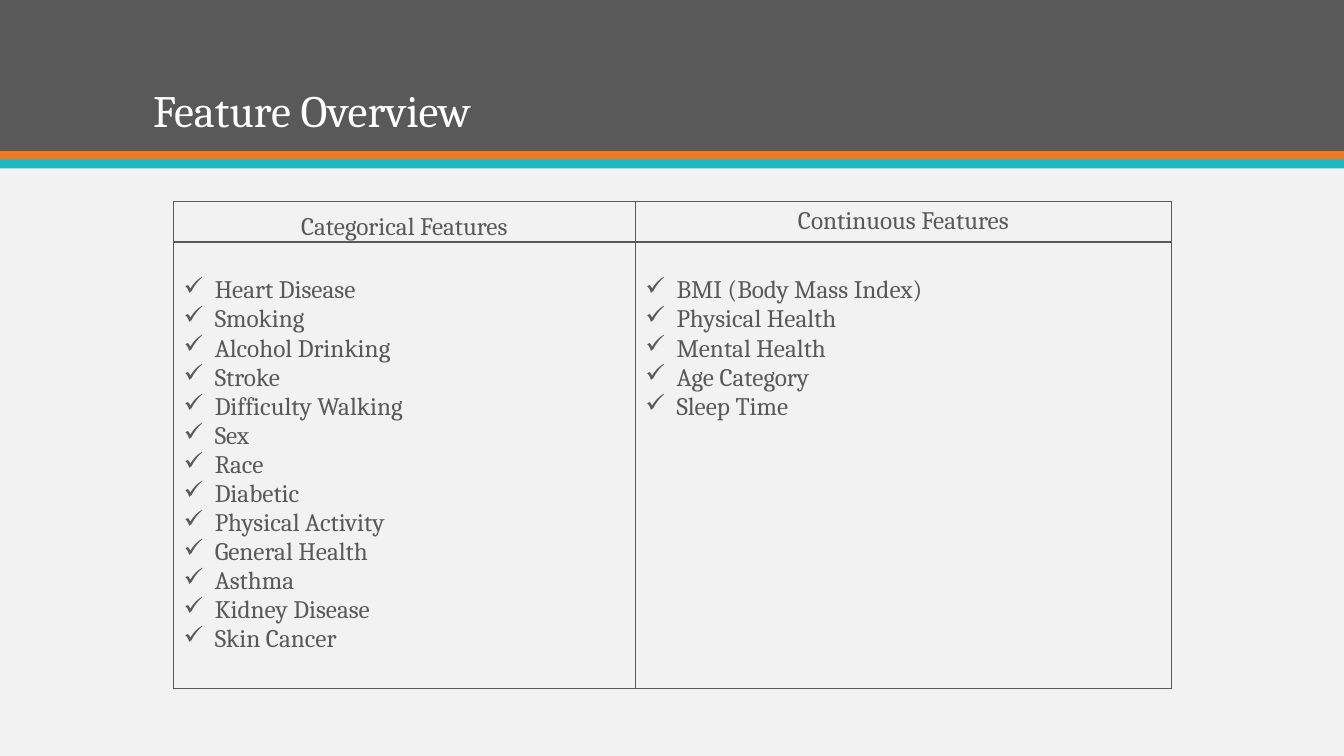
from dataclasses import dataclass

from lxml import etree
from pptx import Presentation
from pptx import util as u
from pptx.dml.color import RGBColor
from pptx.enum import shapes, text
from pptx.oxml import ns

COLORS = {
    "page": "F2F2F2",
    "gray": "595959",
    "orange": "EF7920",
    "teal": "1EB8C1",
    "white": "FFFFFF",
}
FONT = "Cambria"
SLIDE_W, SLIDE_H = 13.33, 7.5
HEADER_H, BODY_H = 0.39, 4.43


@dataclass
class Band:
    top: float
    height: float
    color: str


@dataclass
class Column:
    heading: str
    width: float
    features: list[str]
    heading_margins: tuple[float, float, float, float]
    heading_anchor: text.MSO_ANCHOR


BANDS = [
    Band(0, 1.5, "gray"),
    Band(1.5, 0.09, "orange"),
    Band(1.58, 0.09, "teal"),
]

CELL_MARGINS = (0.1, 0.05, 0.1, 0.05)
# The lists start one text line below the usual top margin.
LIST_MARGINS = (0.1, 0.34, 0.1, 0.05)

COLUMNS = [
    Column(
        "Categorical Features", 4.58,
        ["Heart Disease", "Smoking", "Alcohol Drinking", "Stroke",
         "Difficulty Walking", "Sex", "Race", "Diabetic", "Physical Activity",
         "General Health", "Asthma", "Kidney Disease", "Skin Cancer"],
        (0.01, 0.01, 0.01, 0), text.MSO_ANCHOR.BOTTOM,
    ),
    Column(
        "Continuous Features", 5.32,
        ["BMI (Body Mass Index)", "Physical Health", "Mental Health",
         "Age Category", "Sleep Time"],
        CELL_MARGINS, text.MSO_ANCHOR.TOP,
    ),
]


def rgb(name: str) -> RGBColor:
    return RGBColor.from_string(COLORS[name])


def add_check_bullet(p) -> None:
    pPr = p._p.get_or_add_pPr()
    pPr.set("marL", str(u.Inches(0.31)))
    pPr.set("indent", str(u.Inches(-0.31)))
    etree.SubElement(pPr, ns.qn("a:buChar")).set("char", "✓")


def write(tf, lines: list[str], *, size: float = 18, color: str = "gray",
          align=text.PP_ALIGN.LEFT, spacing: float = 1.0,
          checked: bool = False) -> None:
    """Fill a text frame with one paragraph per line."""
    for i, line in enumerate(lines):
        p = tf.add_paragraph() if i else tf.paragraphs[0]
        p.alignment = align
        p.line_spacing = spacing
        if checked:
            add_check_bullet(p)
        r = p.add_run()
        r.text = line
        r.font.name = FONT
        r.font.size = u.Pt(size)
        r.font.color.rgb = rgb(color)


def add_band(slide, band: Band) -> None:
    sp = slide.shapes.add_shape(
        shapes.MSO_SHAPE.RECTANGLE, 0, u.Inches(band.top),
        u.Inches(SLIDE_W), u.Inches(band.height))
    sp.shadow.inherit = False
    sp.fill.solid()
    sp.fill.fore_color.rgb = rgb(band.color)
    sp.line.fill.background()


def add_title(slide, title: str) -> None:
    sp = slide.shapes.add_textbox(
        u.Inches(1.42), u.Inches(0.28), u.Inches(10.5), u.Inches(1.13))
    tf = sp.text_frame
    tf.word_wrap = True
    tf.vertical_anchor = text.MSO_ANCHOR.BOTTOM
    write(tf, [title], size=32, color="white", spacing=0.9)


def style_cell(cell, margins: tuple[float, float, float, float],
               anchor=text.MSO_ANCHOR.TOP) -> None:
    """Set margins and anchor, outline all four sides and clear the fill."""
    (cell.margin_left, cell.margin_top,
     cell.margin_right, cell.margin_bottom) = map(u.Inches, margins)
    cell.vertical_anchor = anchor
    tcPr = cell._tc.get_or_add_tcPr()
    for side in ("lnL", "lnR", "lnT", "lnB"):
        ln = etree.SubElement(tcPr, ns.qn(f"a:{side}"), w=str(u.Pt(1)))
        fill = etree.SubElement(ln, ns.qn("a:solidFill"))
        etree.SubElement(fill, ns.qn("a:srgbClr"), val=COLORS["gray"])
    cell.fill.background()


def add_feature_table(slide, columns: list[Column]) -> None:
    frame = slide.shapes.add_table(
        2, len(columns), u.Inches(1.72), u.Inches(2),
        u.Inches(sum(c.width for c in columns)), u.Inches(HEADER_H + BODY_H))
    table = frame.table
    table.first_row = table.horz_banding = False
    for row, height in zip(table.rows, (HEADER_H, BODY_H)):
        row.height = u.Inches(height)
    for i, column in enumerate(columns):
        table.columns[i].width = u.Inches(column.width)
        heading, body = table.cell(0, i), table.cell(1, i)
        style_cell(heading, column.heading_margins, column.heading_anchor)
        write(heading.text_frame, [column.heading], align=text.PP_ALIGN.CENTER)
        style_cell(body, LIST_MARGINS)
        write(body.text_frame, column.features, checked=True)


def main() -> None:
    prs = Presentation()
    prs.slide_width, prs.slide_height = u.Inches(SLIDE_W), u.Inches(SLIDE_H)
    slide = prs.slides.add_slide(prs.slide_layouts[6])
    slide.background.fill.solid()
    slide.background.fill.fore_color.rgb = rgb("page")
    for band in BANDS:
        add_band(slide, band)
    add_title(slide, "Feature Overview")
    add_feature_table(slide, COLUMNS)
    prs.save("out.pptx")


if __name__ == "__main__":
    main()
